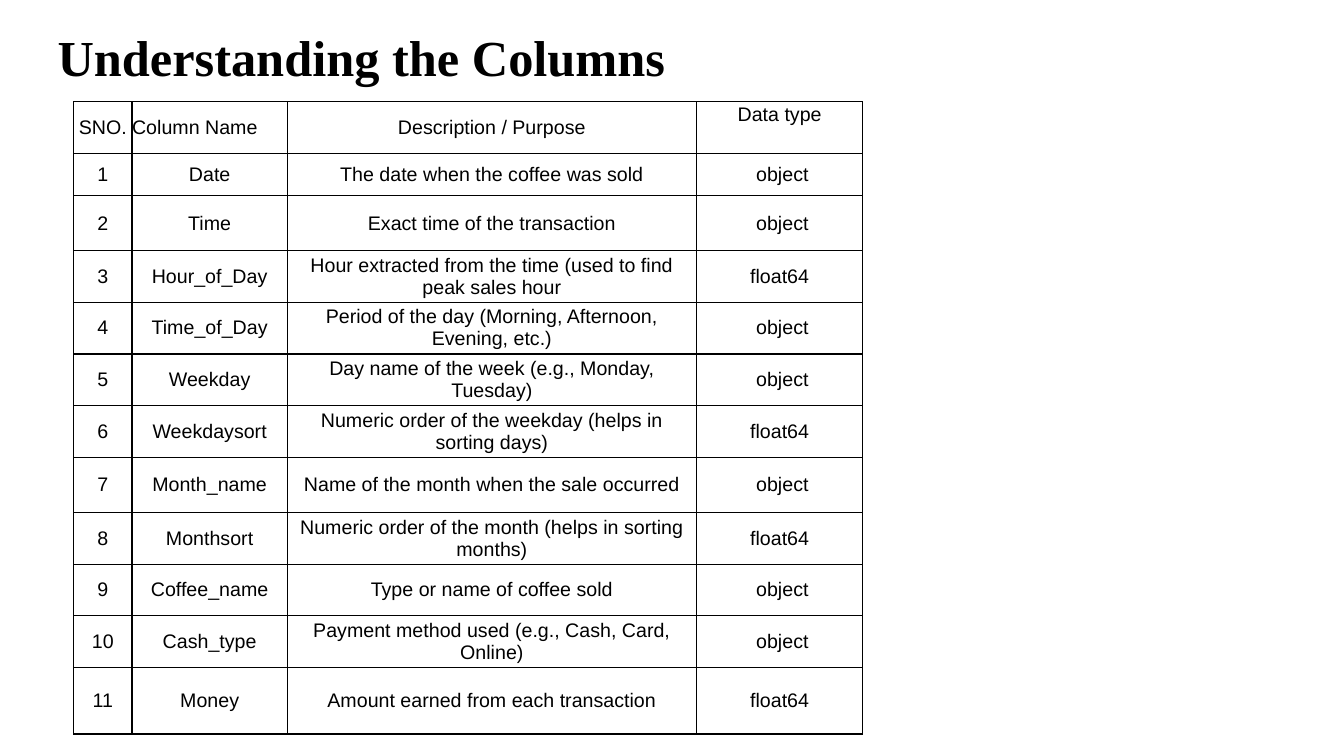
from dataclasses import dataclass

from lxml import etree
from pptx import Presentation
from pptx.dml.color import RGBColor
from pptx.enum.text import MSO_ANCHOR, MSO_AUTO_SIZE, PP_ALIGN
from pptx.oxml.ns import qn
from pptx.util import Inches, Pt

LEFT, CENTER = PP_ALIGN.LEFT, PP_ALIGN.CENTER
TOP, MIDDLE = MSO_ANCHOR.TOP, MSO_ANCHOR.MIDDLE
FIT_SHAPE = MSO_AUTO_SIZE.SHAPE_TO_FIT_TEXT

COLORS = {"ink": "000000", "paper": "FFFFFF"}
SLIDE_W, SLIDE_H = Inches(13.33), Inches(7.5)
GRID = 100
PAD_X, PAD_Y = 0.3, 0.27
COL_SPANS = (4.35, 11.55, 30.45, 12.38)
HEADER_SPAN = 6.83
HEADERS = ("SNO.", "Column Name", "Description / Purpose", "Data type")


@dataclass(frozen=True)
class Field:
    name: str
    purpose: str
    dtype: str = " object"
    span: float = 6.83


FIELDS = (
    Field("Date", "The date when the coffee was sold", span=5.6),
    Field("Time", "Exact time of the transaction", span=7.27),
    Field("Hour_of_Day", "Hour extracted from the time (used to find peak sales hour", "float64"),
    Field("Time_of_Day", "Period of the day (Morning, Afternoon, Evening, etc.)"),
    Field("Weekday", "Day name of the week (e.g., Monday, Tuesday)"),
    Field("Weekdaysort", "Numeric order of the weekday (helps in sorting days)", "float64"),
    Field("Month_name", "Name of the month when the sale occurred", span=7.33),
    Field("Monthsort", "Numeric order of the month (helps in sorting months)", "float64"),
    Field("Coffee_name", "Type or name of coffee sold"),
    Field("Cash_type", "Payment method used (e.g., Cash, Card, Online)"),
    Field("Money", "Amount earned from each transaction", "float64", 8.8),
)


def gx(columns: float) -> int:
    return round(SLIDE_W * columns / GRID)


def gy(rows: float) -> int:
    return round(SLIDE_H * rows / GRID)


def write(tf, text: str, *, font="Arial", size=14, bold=False, align=CENTER) -> None:
    p = tf.paragraphs[0]
    p.alignment = align
    r = p.add_run()
    r.text = text
    r.font.name = font
    r.font.size = Pt(size)
    r.font.bold = bold
    r.font.color.rgb = RGBColor.from_string(COLORS["ink"])


def add_borders(cell, width: float = 1) -> None:
    tc_pr = cell._tc.get_or_add_tcPr()
    for i, side in enumerate(("lnL", "lnR", "lnT", "lnB")):
        ln = etree.Element(qn(f"a:{side}"), w=str(Pt(width)))
        fill = etree.SubElement(ln, qn("a:solidFill"))
        etree.SubElement(fill, qn("a:srgbClr"), val=COLORS["ink"])
        tc_pr.insert(i, ln)


def fill_cell(cell, text: str, *, align=CENTER, anchor=MIDDLE, padded=True) -> None:
    cell.margin_left = cell.margin_right = gx(PAD_X) if padded else 0
    cell.margin_top = cell.margin_bottom = gy(PAD_Y) if padded else 0
    cell.vertical_anchor = anchor
    cell.fill.solid()
    cell.fill.fore_color.rgb = RGBColor.from_string(COLORS["paper"])
    add_borders(cell)
    write(cell.text_frame, text, align=align)


def add_title(slide, text: str) -> None:
    sp = slide.shapes.title
    sp.left, sp.top, sp.width, sp.height = gx(3.53), gy(2.8), gx(55.29), gy(9.47)
    tf = sp.text_frame
    tf.word_wrap = True
    tf.auto_size = FIT_SHAPE
    tf.vertical_anchor = TOP
    write(tf, text, font="Times New Roman", size=36, bold=True, align=LEFT)


def add_field_table(slide) -> None:
    row_spans = (HEADER_SPAN, *(field.span for field in FIELDS))
    table = slide.shapes.add_table(
        len(row_spans), len(COL_SPANS), gx(5.48), gy(13.47),
        gx(sum(COL_SPANS)), gy(sum(row_spans)),
    ).table
    table.first_row = table.horz_banding = False
    for column, span in zip(table.columns, COL_SPANS):
        column.width = gx(span)
    for row, span in zip(table.rows, row_spans):
        row.height = gy(span)

    header_formats = ({}, {"align": LEFT, "padded": False}, {}, {"anchor": TOP})
    for cell, text, style in zip(table.rows[0].cells, HEADERS, header_formats):
        fill_cell(cell, text, **style)
    for number, field in enumerate(FIELDS, 1):
        values = (str(number), field.name, field.purpose, field.dtype)
        for cell, text in zip(table.rows[number].cells, values):
            fill_cell(cell, text)


def main() -> None:
    prs = Presentation()
    prs.slide_width, prs.slide_height = SLIDE_W, SLIDE_H
    slide = prs.slides.add_slide(prs.slide_layouts.get_by_name("Title Only"))
    add_title(slide, "Understanding the Columns")
    add_field_table(slide)
    prs.save("out.pptx")


if __name__ == "__main__":
    main()
